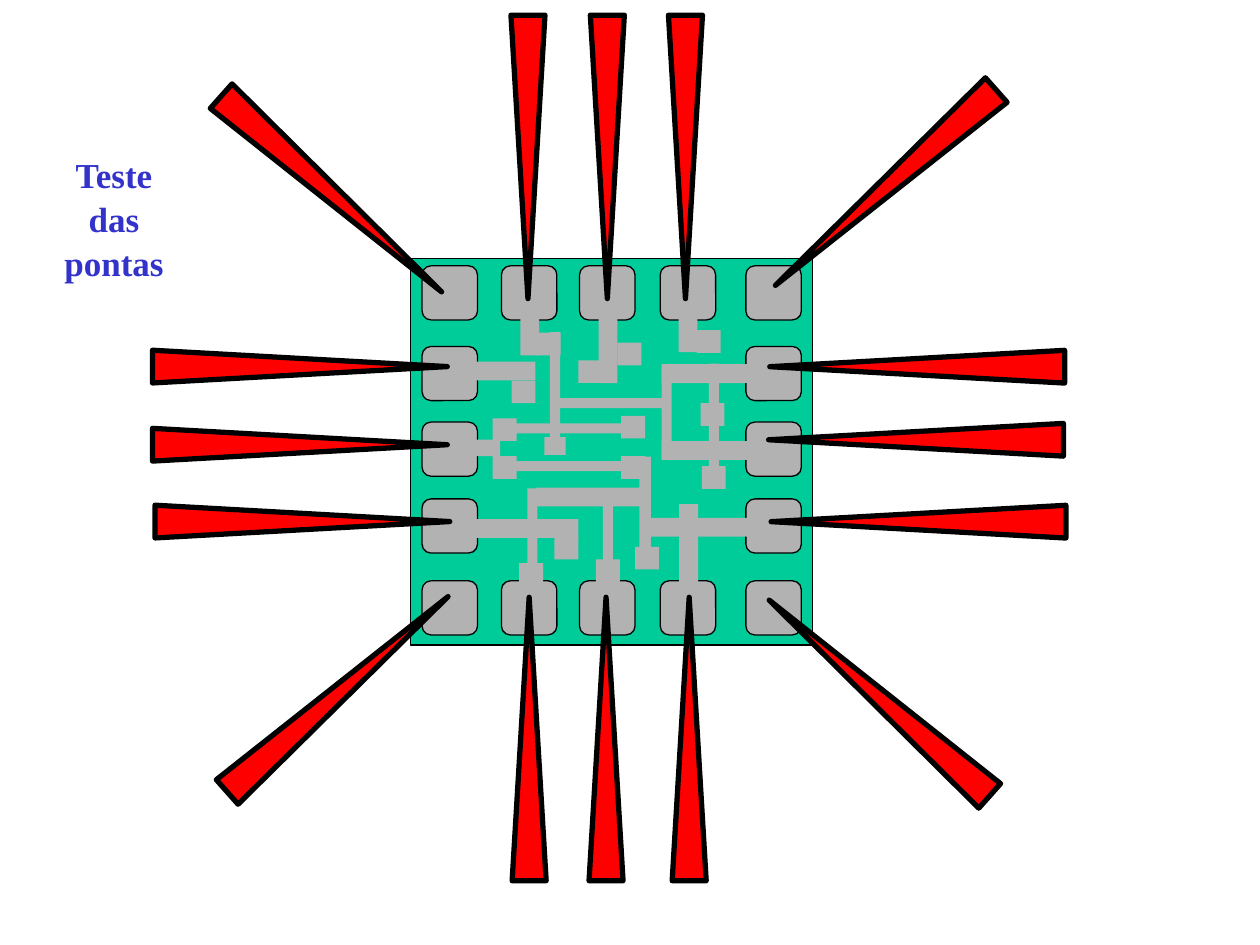
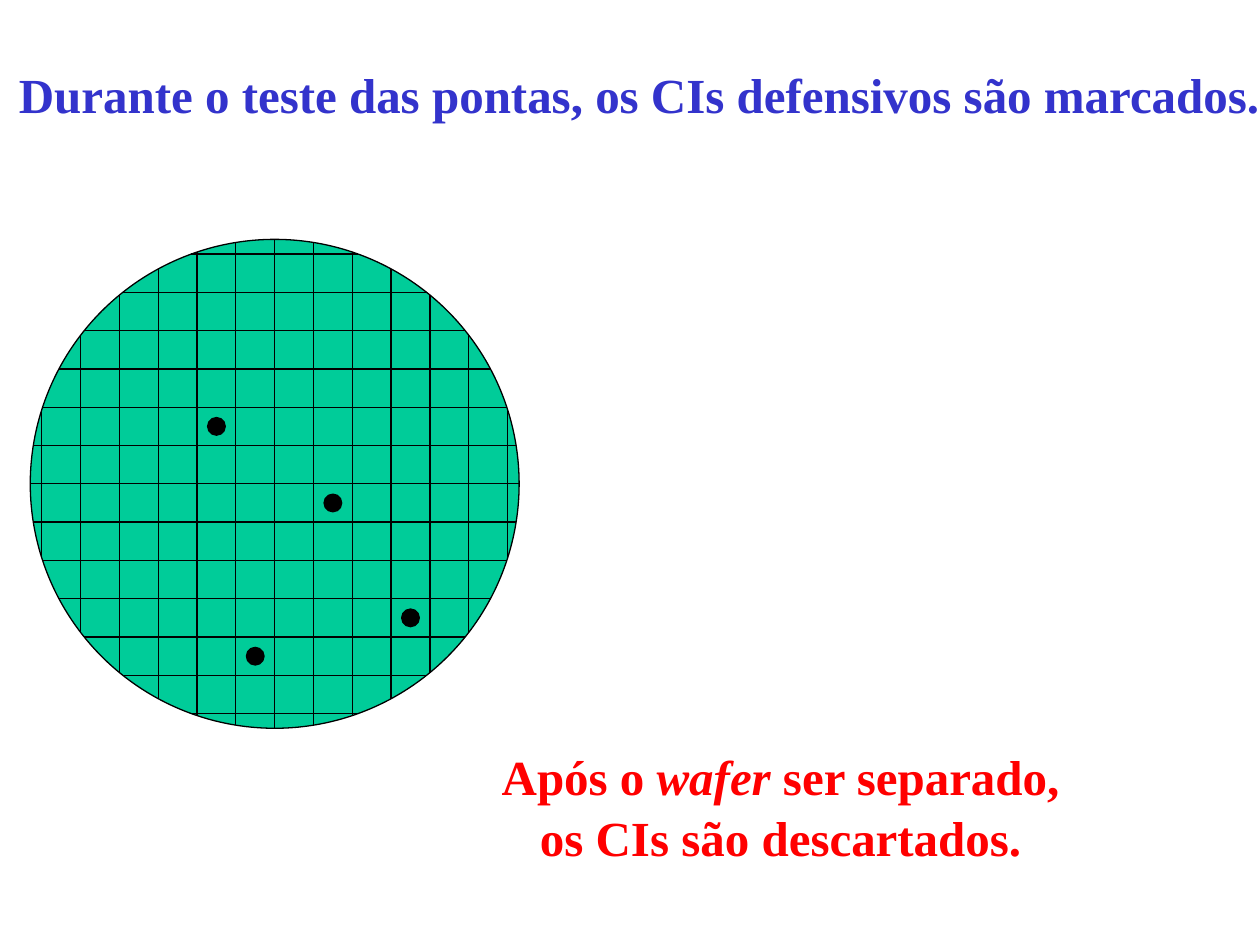
"""Two slides on the probe test of integrated circuits on a wafer."""
from dataclasses import dataclass
from math import cos, radians, sin, sqrt
from typing import NamedTuple

from lxml import etree
from pptx import Presentation
from pptx.dml.color import RGBColor
from pptx.enum.shapes import MSO_CONNECTOR, MSO_SHAPE
from pptx.enum.text import MSO_ANCHOR, MSO_AUTO_SIZE, PP_ALIGN
from pptx.oxml.ns import qn
from pptx.util import Emu, Inches, Pt

RECT, ROUNDED = MSO_SHAPE.RECTANGLE, MSO_SHAPE.ROUNDED_RECTANGLE
TRIANGLE, OVAL = MSO_SHAPE.ISOSCELES_TRIANGLE, MSO_SHAPE.OVAL
STRAIGHT = MSO_CONNECTOR.STRAIGHT
LEFT, CENTER = PP_ALIGN.LEFT, PP_ALIGN.CENTER
TOP, FIT_SHAPE = MSO_ANCHOR.TOP, MSO_AUTO_SIZE.SHAPE_TO_FIT_TEXT

SLIDE_WIDTH, SLIDE_HEIGHT = Inches(10), Inches(7.5)
COLUMNS = 1000  # fine square grid: 1000 columns by 750 rows
TITLE_ONLY = 5


@dataclass(frozen=True)
class Theme:
    """Colours, type and line weights of both slides."""
    title: RGBColor = RGBColor(0x33, 0x33, 0xCC)
    alert: RGBColor = RGBColor(0xFF, 0x00, 0x00)
    silicon: RGBColor = RGBColor(0x00, 0xCC, 0x99)
    metal: RGBColor = RGBColor(0xB2, 0xB2, 0xB2)
    ink: RGBColor = RGBColor(0x00, 0x00, 0x00)
    font: str = "Times New Roman"
    label_size: float = 20
    heading_size: float = 28
    line_spacing: float = 1.05
    thin: float = 0.74
    thick: float = 3


THEME = Theme()


class Box(NamedTuple):
    """A place on the grid, in columns and rows."""
    left: float
    top: float
    width: float
    height: float


class Needle(NamedTuple):
    """A test needle, given by its tip and its heading clockwise from up."""
    tip_x: float
    tip_y: float
    heading: float
    width: float = 26
    length: float = 234


class TextStyle(NamedTuple):
    """Look of a text block."""
    size: float
    color: RGBColor
    align: int
    wrap: bool


# Chip: pads run round the edge of a 5 x 5 grid
CHIP = Box(326, 205, 319, 307)
PAD_COLUMNS = (335, 398, 460, 524, 592)
PAD_ROWS = (211, 275, 335, 396, 461)
PAD_WIDTH, PAD_HEIGHT = 44, 43

# Tracks: left, top, length, thickness
WIDE, NARROW = 15, 8
HORIZONTAL_TRACKS = (
    (426, 387, 89, WIDE), (359, 287, 66, WIDE), (343, 349, 54, 13),
    (407, 366, 89, NARROW), (525, 350, 85, WIDE), (516, 411, 89, WIDE),
    (370, 412, 89, WIDE), (525, 289, 89, WIDE), (441, 316, 89, NARROW),
    (408, 336, 89, NARROW),
)
VERTICAL_TRACKS = (
    (413, 237, 45, WIDE), (538.5, 233.5, 46, WIDE), (475, 219, 85, WIDE),
    (539, 400, 85, WIDE), (525, 292, 72, NARROW), (436.5, 263.5, 85, NARROW),
    (478.5, 388.5, 85, NARROW), (418.5, 387.5, 85, NARROW),
    (562.5, 288.5, 85, NARROW), (507.5, 362.5, 80, 9),
)
CONTACT_WIDTH, CONTACT_HEIGHT = 19, 18
CONTACTS = (
    (391, 362), (391, 332), (493, 330), (473, 444), (493, 362), (426, 264),
    (406, 302), (459, 286), (412, 447), (440, 426), (557, 370), (556, 320),
    (490, 272), (504, 434), (553, 262),
)
SMALL_CONTACT = Box(432, 347, 17, 14)

NEEDLES = (
    *(Needle(x, 474, 0, 27, 225) for x in (420, 481, 547)),
    *(Needle(x, 237, 180, 27, 225) for x in (419, 482, 544)),
    *(Needle(x, y, 90) for x, y in ((355, 291), (355, 353), (357, 414))),
    *(Needle(x, y, 270) for x, y in ((611, 291), (610, 349), (612, 414))),
    Needle(350.5, 231.7, 131.6), Needle(355.6, 473.5, 48.5),
    Needle(615.4, 226.5, 228.5), Needle(610.5, 476.3, 311.6),
)

# Wafer: cut lines are chords, counted from the centre
WAFER_X, WAFER_Y, WAFER_RADIUS = 218, 384, 194
DIE_WIDTH, DIE_HEIGHT = 30.8, 30.4
CUTS = range(-6, 7)
DEFECTIVE_DIES = ((1.5, 0.5), (3.5, 3.5), (-0.5, 4.5), (-1.5, -1.5))
MARK = 14


def grid(cells: float) -> Emu:
    """Turn grid cells into a length."""
    return Emu(round(cells * SLIDE_WIDTH / COLUMNS))


def add_solid(shapes, kind, box: Box, fill: RGBColor, weight: float = 0):
    """Draw a filled shape, outlined when a line weight is given."""
    solid = shapes.add_shape(kind, *(grid(side) for side in box))
    solid.shadow.inherit = False
    solid.fill.solid()
    solid.fill.fore_color.rgb = fill
    if weight:
        solid.line.color.rgb = THEME.ink
        solid.line.width = Pt(weight)
    else:
        solid.line.fill.background()
    return solid


def add_cut(shapes, x1: float, y1: float, x2: float, y2: float) -> None:
    """Draw one thin cut line."""
    cut = shapes.add_connector(STRAIGHT, *(grid(v) for v in (x1, y1, x2, y2)))
    cut.line.color.rgb = THEME.ink
    cut.line.width = Pt(THEME.thin)
    etree.SubElement(cut._element.spPr, qn("a:effectLst"))


def write(holder, box: Box, text: str, style: TextStyle) -> None:
    """Place a text holder and fill it with formatted text."""
    holder.left, holder.top, holder.width, holder.height = map(grid, box)
    frame = holder.text_frame
    frame.text = text
    frame.word_wrap = style.wrap
    frame.auto_size = FIT_SHAPE
    frame.vertical_anchor = TOP
    for paragraph in frame.paragraphs:
        paragraph.alignment = style.align
        paragraph.line_spacing = THEME.line_spacing
        for run in paragraph.runs:
            format_run(run, style)


def format_run(run, style: TextStyle) -> None:
    """Give a run the shared bold type."""
    run.font.name = THEME.font
    run.font.size = Pt(style.size)
    run.font.bold = True
    run.font.color.rgb = style.color


def draw_chip(shapes) -> None:
    """Draw the chip with its pads, tracks and contacts."""
    add_solid(shapes, RECT, CHIP, THEME.silicon, THEME.thin)
    for x in PAD_COLUMNS:
        for y in PAD_ROWS:
            if x in (PAD_COLUMNS[0], PAD_COLUMNS[-1]) or y in (PAD_ROWS[0], PAD_ROWS[-1]):
                pad = add_solid(shapes, ROUNDED, Box(x, y, PAD_WIDTH, PAD_HEIGHT),
                                THEME.metal, THEME.thin)
                pad.adjustments[0] = 0.165
    metal = [Box(*track) for track in HORIZONTAL_TRACKS]
    metal += [Box(x, y, thickness, length) for x, y, length, thickness in VERTICAL_TRACKS]
    metal += [Box(x, y, CONTACT_WIDTH, CONTACT_HEIGHT) for x, y in CONTACTS]
    for box in (*metal, SMALL_CONTACT):
        add_solid(shapes, RECT, box, THEME.metal)


def draw_needle(shapes, needle: Needle) -> None:
    """Draw a needle whose point rests on its tip."""
    angle, half = radians(needle.heading), needle.length / 2
    center_x = needle.tip_x - half * sin(angle)
    center_y = needle.tip_y + half * cos(angle)
    box = Box(center_x - needle.width / 2, center_y - half, needle.width, needle.length)
    add_solid(shapes, TRIANGLE, box, THEME.alert, THEME.thick).rotation = needle.heading


def draw_wafer(shapes) -> None:
    """Draw the wafer, its cut lines and the marks on defective dies."""
    disc = Box(WAFER_X - WAFER_RADIUS, WAFER_Y - WAFER_RADIUS,
               2 * WAFER_RADIUS, 2 * WAFER_RADIUS)
    add_solid(shapes, OVAL, disc, THEME.silicon, THEME.thin)
    for cut in CUTS:
        across, down = cut * DIE_WIDTH, cut * DIE_HEIGHT
        half = sqrt(WAFER_RADIUS ** 2 - across ** 2)
        add_cut(shapes, WAFER_X + across, WAFER_Y - half, WAFER_X + across, WAFER_Y + half)
        half = sqrt(WAFER_RADIUS ** 2 - down ** 2)
        add_cut(shapes, WAFER_X - half, WAFER_Y + down, WAFER_X + half, WAFER_Y + down)
    for column, row in DEFECTIVE_DIES:
        mark = Box(WAFER_X + column * DIE_WIDTH - MARK / 2,
                   WAFER_Y + row * DIE_HEIGHT - MARK / 2, MARK, MARK)
        add_solid(shapes, OVAL, mark, THEME.ink, THEME.thin)


def add_titled_slide(deck, title: str, box: Box, style: TextStyle):
    """Add a title-only slide and set its title."""
    slide = deck.slides.add_slide(deck.slide_layouts[TITLE_ONLY])
    write(slide.shapes.title, box, title, style)
    return slide


def build_probe_slide(deck) -> None:
    """Slide 1: needles touching the pads of a chip."""
    slide = add_titled_slide(deck, "Teste\ndas\npontas", Box(19, 115, 143, 110),
                             TextStyle(THEME.label_size, THEME.title, CENTER, True))
    draw_chip(slide.shapes.add_group_shape().shapes)
    needles = slide.shapes.add_group_shape().shapes
    for needle in NEEDLES:
        draw_needle(needles, needle)


def build_wafer_slide(deck) -> None:
    """Slide 2: wafer with its defective circuits marked."""
    slide = add_titled_slide(
        deck, "Durante o teste das pontas, os CIs defensivos são marcados.",
        Box(5, 44, 1005, 57), TextStyle(THEME.heading_size, THEME.title, LEFT, False))
    draw_wafer(slide.shapes)
    style = TextStyle(THEME.heading_size, THEME.alert, CENTER, False)
    box = Box(388, 585, 463, 104)
    outcome = slide.shapes.add_textbox(*(grid(side) for side in box))
    write(outcome, box, "Após o \nos CIs são descartados.", style)
    first_line = outcome.text_frame.paragraphs[0]
    for words, italic in (("wafer", True), (" ser separado,", False)):
        run = first_line.add_run()
        run.text = words
        format_run(run, style)
        run.font.italic = italic


def main() -> None:
    """Build and save the deck."""
    deck = Presentation()
    deck.slide_width, deck.slide_height = SLIDE_WIDTH, SLIDE_HEIGHT
    build_probe_slide(deck)
    build_wafer_slide(deck)
    deck.save("out.pptx")


main()
